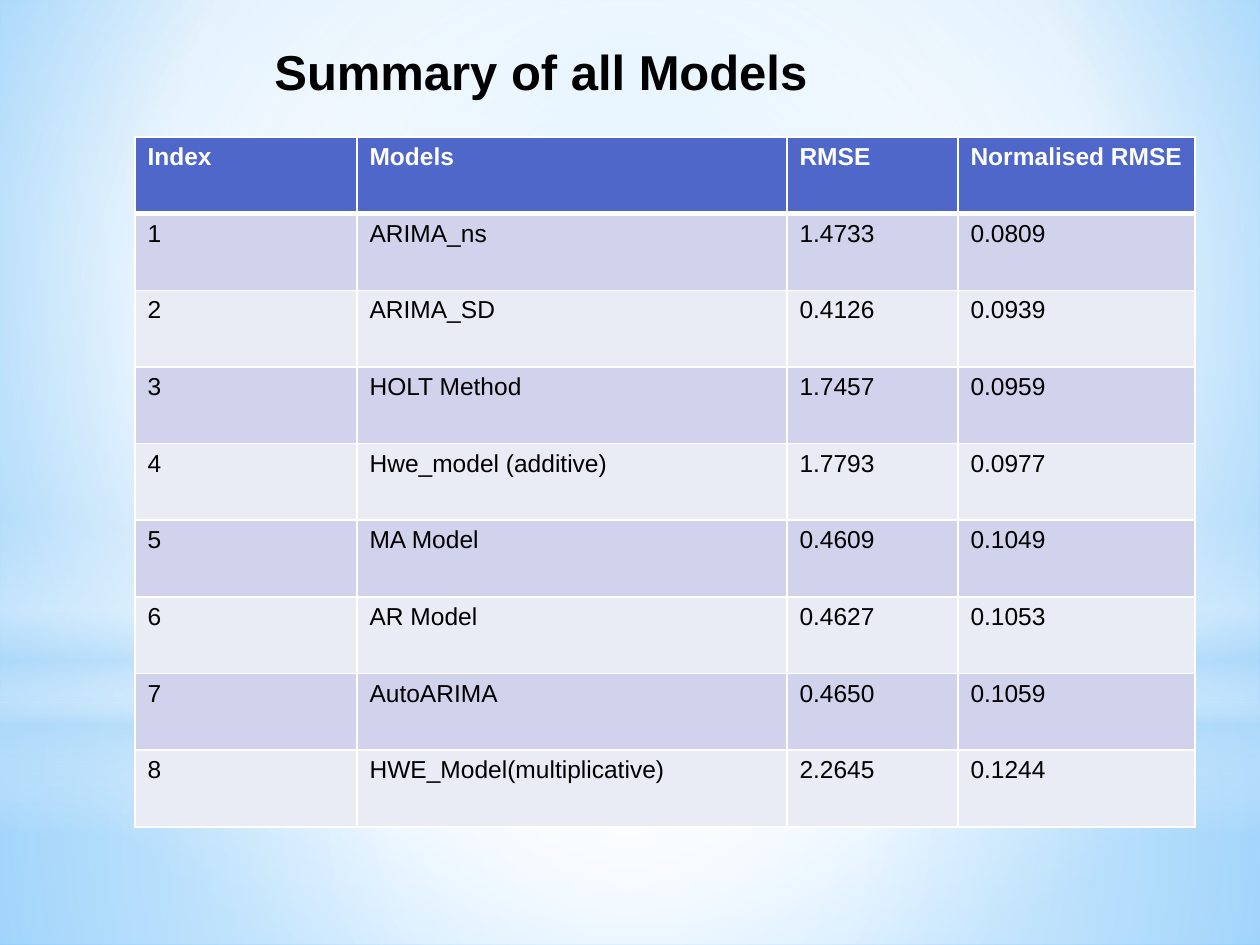
"""Build a one-slide summary table of forecasting models and their errors."""
import pptx
import pptx.util
import pptx.oxml
import pptx.oxml.ns
import pptx.dml.color
import pptx.enum.shapes

TITLE = "Summary of all Models"
HEAD = ("Index", "Models", "RMSE", "Normalised RMSE")
MODELS = [
    ("ARIMA_ns", "1.4733", "0.0809"),
    ("ARIMA_SD", "0.4126", "0.0939"),
    ("HOLT Method", "1.7457", "0.0959"),
    ("Hwe_model (additive)", "1.7793", "0.0977"),
    ("MA Model", "0.4609", "0.1049"),
    ("AR Model", "0.4627", "0.1053"),
    ("AutoARIMA", "0.4650", "0.1059"),
    ("HWE_Model(multiplicative)", "2.2645", "0.1244"),
]
THEME = {
    "font": "Arial", "title": 28, "body": 14,
    "ink": "000000", "white": "FFFFFF", "head": "4E67C8",
    "bands": ("D0D3EB", "E9EBF5"),
    "sky": "B4DCFA", "pale": "9ED5FF", "deep": "5BB9FF",
}
WHITE, SKY = THEME["white"], THEME["sky"]
WIDE, HIGH = 1260, 945
GRID = (135, 137, 1060, 690)
COLS = (222, 430, 171, 237)
MID = (50, 50, 50, 50)
BACK = [(0, THEME["pale"], 100), (60, WHITE, 100), (100, THEME["deep"], 100)]
RECT = pptx.enum.shapes.MSO_SHAPE.RECTANGLE
OVAL = pptx.enum.shapes.MSO_SHAPE.OVAL
GLOWS = [
    (RECT, (0, 703, WIDE, 242), MID,
     [(0, WHITE, 91), (37, WHITE, 76), (100, SKY, 79)]),
    (RECT, (0, 0, WIDE, 703), MID,
     [(0, WHITE, 89), (48, WHITE, 62), (100, SKY, 79)]),
    (RECT, (0, 519, WIDE, 315), None,
     [(0, WHITE, 0), (29, WHITE, 30), (45, SKY, 40),
      (55, WHITE, 26), (65, SKY, 60), (100, WHITE, 0)]),
    (OVAL, (0, 220, WIDE, 703), MID, [(0, WHITE, 100), (56, WHITE, 0)]),
]
NS = pptx.oxml.ns.nsdecls("a")


def px(num):
    """Turn px into EMU."""
    return pptx.util.Emu(round(num * 914400 / 126))


def rgb(code):
    """Turn a hex code into a colour."""
    return pptx.dml.color.RGBColor.from_string(code)


def blend(solid, stops, focus):
    """Swap a solid fill for a gradient, radial if it has a focus."""
    marks = "".join(
        f'<a:gs pos="{pos * 1000}"><a:srgbClr val="{code}">'
        f'<a:alpha val="{alpha * 1000}"/></a:srgbClr></a:gs>'
        for pos, code, alpha in stops)
    if focus:
        sides = " ".join(f'{side}="{val * 1000}"' for side, val in zip("ltrb", focus))
        kind = f'<a:path path="circle"><a:fillToRect {sides}/></a:path>'
    else:
        kind = '<a:lin ang="5400000" scaled="0"/>'
    grad = pptx.oxml.parse_xml(
        f'<a:gradFill {NS} rotWithShape="1"><a:gsLst>{marks}</a:gsLst>{kind}</a:gradFill>')
    solid.getparent().replace(solid, grad)


def write(frame, text, size, code, bold):
    """Add one styled run to the first paragraph."""
    run = frame.paragraphs[0].add_run()
    run.text = text
    font = run.font
    font.name, font.size, font.bold = THEME["font"], pptx.util.Pt(size), bold
    font.color.rgb = rgb(code)


def edge(cell, base):
    """Draw white borders, with the given width in points at the base."""
    props = cell._tc.get_or_add_tcPr()
    for spot, side in enumerate("LRTB"):
        width = pptx.util.Pt(base if side == "B" else 1)
        props.insert(spot, pptx.oxml.parse_xml(
            f'<a:ln{side} {NS} w="{width}"><a:solidFill>'
            f'<a:srgbClr val="{WHITE}"/></a:solidFill></a:ln{side}>'))


def scene(slide):
    """Paint the background and its glows."""
    slide.background.fill.solid()
    blend(slide.element.xpath("./p:cSld/p:bg//a:solidFill")[0], BACK, (20, 10, 20, 60))
    for form, box, focus, stops in GLOWS:
        shape = slide.shapes.add_shape(form, *map(px, box))
        shape.shadow.inherit = False
        shape.line.fill.background()
        shape.fill.solid()
        blend(shape.element.xpath("./p:spPr/a:solidFill")[0], stops, focus)


def chart(slide):
    """Add the table of models."""
    rows = [HEAD] + [(str(num), *model) for num, model in enumerate(MODELS, 1)]
    table = slide.shapes.add_table(len(rows), len(COLS), *map(px, GRID)).table
    for col, width in zip(table.columns, COLS):
        col.width = px(width)
    for y, row in enumerate(rows):
        table.rows[y].height = px(GRID[3] / len(rows))
        top = y == 0
        fill = THEME["head"] if top else THEME["bands"][(y - 1) % 2]
        for x, text in enumerate(row):
            cell = table.cell(y, x)
            cell.fill.solid()
            cell.fill.fore_color.rgb = rgb(fill)
            edge(cell, 3 if top else 1)
            write(cell.text_frame, text, THEME["body"], WHITE if top else THEME["ink"], top)


def main():
    """Build and save the deck."""
    deck = pptx.Presentation()
    deck.slide_width, deck.slide_height = px(WIDE), px(HIGH)
    slide = deck.slides.add_slide(deck.slide_layouts[6])
    scene(slide)
    chart(slide)
    frame = slide.shapes.add_textbox(*map(px, (262, 35, 915, 72))).text_frame
    frame.word_wrap = True
    write(frame, TITLE, THEME["title"], THEME["ink"], True)
    deck.save("out.pptx")


if __name__ == "__main__":
    main()
